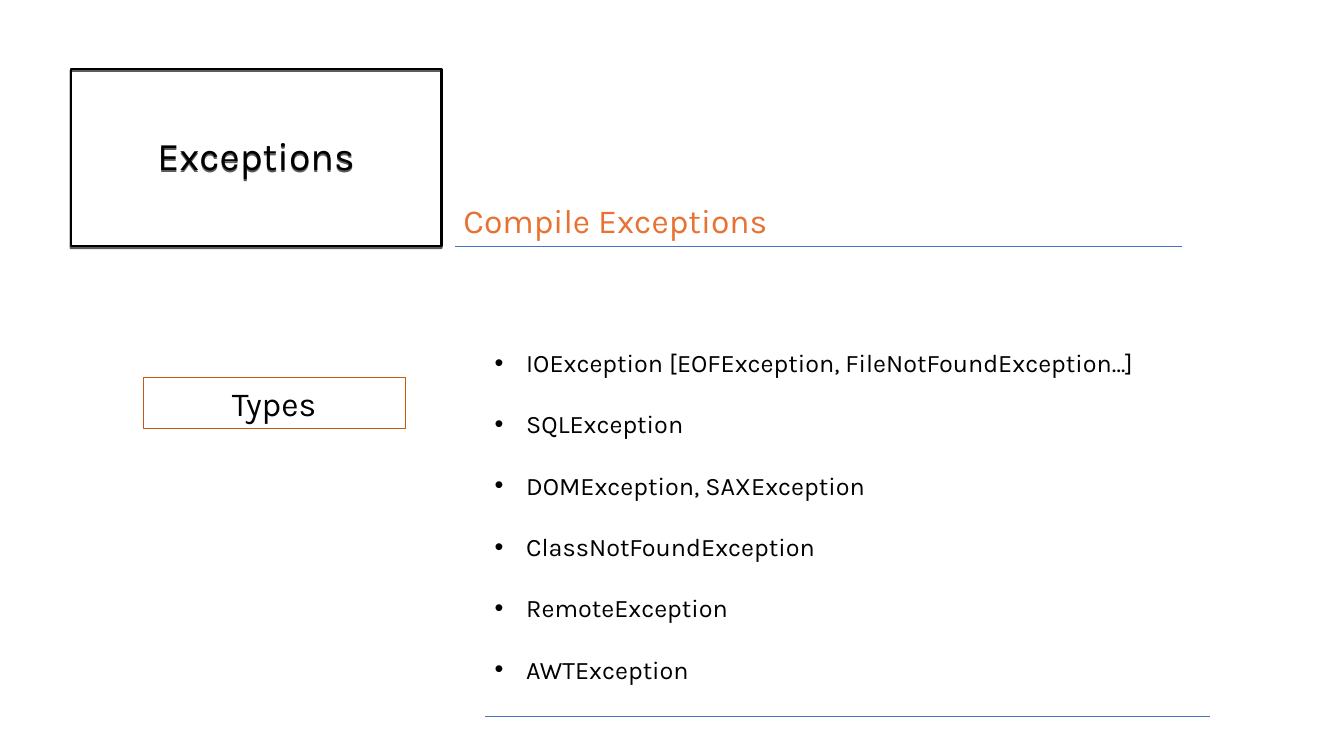
from lxml import etree
from pptx import Presentation
from pptx.dml.color import RGBColor
from pptx.enum import shapes, text
from pptx.oxml import parse_xml
from pptx.oxml.ns import nsdecls, qn
from pptx.util import Pt

BLACK = RGBColor(0x00, 0x00, 0x00)
BLUE = RGBColor(0x44, 0x72, 0xC4)
RUST = RGBColor(0xC5, 0x5A, 0x11)
ORANGE = RGBColor(0xE9, 0x71, 0x32)
EXCEPTIONS = [
    "IOException [EOFException, FileNotFoundException…]",
    "SQLException",
    "DOMException, SAXException",
    "ClassNotFoundException",
    "RemoteException",
    "AWTException",
]


def write(p, words, size=18, color=BLACK, align=text.PP_ALIGN.LEFT):
    p.alignment = align
    r = p.add_run()
    r.text = words
    r.font.name = "Karla"
    r.font.size = Pt(size)
    r.font.color.rgb = color
    return p


prs = Presentation()
prs.slide_width, prs.slide_height = Pt(960), Pt(540)
s = prs.slides.add_slide(prs.slide_layouts[5])

title = s.shapes.title
title.left, title.top, title.width, title.height = Pt(50.4), Pt(49), Pt(265), Pt(126.7)
title.fill.background()
title.line.color.rgb = BLACK
title.line.width = Pt(1.5)
title.element.spPr.append(parse_xml(
    f'<a:effectLst {nsdecls("a")}><a:outerShdw blurRad="0" dist="19050" dir="5400000" '
    'algn="ctr" rotWithShape="0"><a:srgbClr val="000000"><a:alpha val="63000"/>'
    '</a:srgbClr></a:outerShdw></a:effectLst>'))
tf = title.text_frame
tf.word_wrap = True
tf.vertical_anchor = text.MSO_ANCHOR.MIDDLE
p = write(tf.paragraphs[0], "Exceptions", size=28, align=text.PP_ALIGN.CENTER)
p.line_spacing = 0.9

for x1, x2, y in [(324.7, 844.6, 175.7), (346.3, 864, 511.9)]:
    rule = s.shapes.add_connector(shapes.MSO_CONNECTOR.STRAIGHT, Pt(x1), Pt(y), Pt(x2), Pt(y))
    rule.line.color.rgb = BLUE
    rule.line.width = Pt(0.5)
    etree.SubElement(rule.element.spPr, qn("a:effectLst"))

types = s.shapes.add_shape(shapes.MSO_SHAPE.RECTANGLE, Pt(102.2), Pt(270), Pt(187.2), Pt(36))
types.shadow.inherit = False
types.fill.background()
types.line.color.rgb = RUST
types.line.width = Pt(0.75)
tf = types.text_frame
tf.word_wrap = True
tf.vertical_anchor = text.MSO_ANCHOR.TOP
write(tf.paragraphs[0], "Types", size=24, align=text.PP_ALIGN.CENTER)

tf = s.shapes.add_textbox(Pt(310.3), Pt(200.2), Pt(573.8), Pt(290.9)).text_frame
tf.word_wrap = True
tf.margin_top = Pt(48)
for i, name in enumerate(EXCEPTIONS):
    p = write(tf.paragraphs[0] if i == 0 else tf.add_paragraph(), name)
    p.level = 1
    p.space_after = Pt(22.2)
    pPr = p._p.get_or_add_pPr()
    pPr.set("marL", str(Pt(58.5)))
    pPr.set("indent", str(Pt(-22.5)))
    etree.SubElement(pPr, qn("a:buFont")).set("typeface", "Arial")
    etree.SubElement(pPr, qn("a:buChar")).set("char", "•")

tf = s.shapes.add_textbox(Pt(324), Pt(139), Pt(254.2), Pt(36)).text_frame
tf.word_wrap = True
write(tf.paragraphs[0], "Compile Exceptions", size=24, color=ORANGE)

prs.save("out.pptx")
